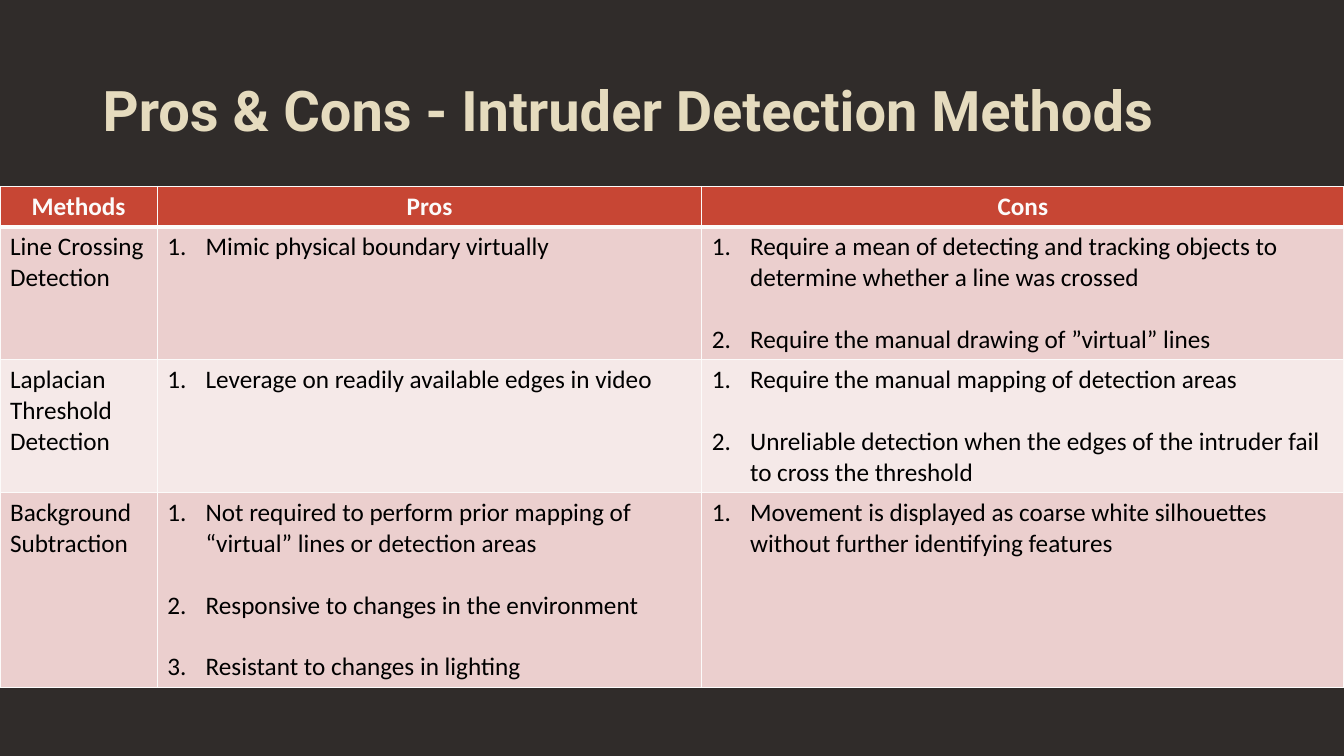
from lxml.etree import SubElement
from pptx import Presentation
from pptx.dml.color import RGBColor
from pptx.enum.text import MSO_ANCHOR, PP_ALIGN
from pptx.oxml.ns import qn
from pptx.util import Inches, Pt

CHARCOAL = RGBColor(0x30, 0x2C, 0x2A)
SAND = RGBColor(0xE5, 0xDB, 0xBE)
OFF_WHITE = RGBColor(0xFC, 0xFB, 0xFA)
BRICK = RGBColor(0xC7, 0x46, 0x34)
ROSE = RGBColor(0xEB, 0xCF, 0xCE)
BLUSH = RGBColor(0xF5, 0xE9, 0xE8)
BLACK = RGBColor(0, 0, 0)

HEADINGS = ["Methods", "Pros", "Cons"]
METHODS = [
    ("Line Crossing Detection",
     ["Mimic physical boundary virtually"],
     ["Require a mean of detecting and tracking objects to determine whether a line was crossed",
      "Require the manual drawing of ”virtual” lines"]),
    ("Laplacian Threshold Detection",
     ["Leverage on readily available edges in video"],
     ["Require the manual mapping of detection areas",
      "Unreliable detection when the edges of the intruder fail to cross the threshold"]),
    ("Background Subtraction",
     ["Not required to perform prior mapping of “virtual” lines or detection areas",
      "Responsive to changes in the environment",
      "Resistant to changes in lighting"],
     ["Movement is displayed as coarse white silhouettes without further identifying features"]),
]
COLUMN_WIDTHS = [1.56, 5.4, 6.37]
ROW_HEIGHTS = [0.4, 1.32, 1.32, 1.93]


def set_font(paragraph, name, size, color, bold=False):
    """Set the font of a whole paragraph."""
    font = paragraph.font
    font.name, font.size, font.bold = name, Pt(size), bold
    font.color.rgb = color


def add_title(slide, text):
    """Add the slide title."""
    title = slide.shapes.add_textbox(Inches(0.92), Inches(0.4), Inches(12.42), Inches(1.45))
    frame = title.text_frame
    frame.word_wrap = True
    frame.vertical_anchor = MSO_ANCHOR.MIDDLE
    heading = frame.paragraphs[0]
    heading.text = text
    heading.line_spacing = 0.9
    set_font(heading, "Roboto", 40, SAND, True)


def style_cell(cell, fill, top=1, bottom=1):
    """Give a cell its borders and fill."""
    properties = cell._tc.get_or_add_tcPr()
    for side, width in (("L", 1), ("R", 1), ("T", top), ("B", bottom)):
        border = SubElement(properties, qn(f"a:ln{side}"), w=str(Pt(width)))
        SubElement(SubElement(border, qn("a:solidFill")), qn("a:srgbClr"), val=str(OFF_WHITE))
    cell.fill.solid()
    cell.fill.fore_color.rgb = fill


def write_points(cell, points):
    """Write numbered points, one line apart."""
    frame = cell.text_frame
    frame.text = "\n".join(points)
    for index, paragraph in enumerate(frame.paragraphs):
        properties = paragraph._p.get_or_add_pPr()
        properties.set("marL", str(Inches(0.38)))
        properties.set("indent", str(Inches(-0.38)))
        SubElement(properties, qn("a:buFont"), typeface="+mj-lt")
        SubElement(properties, qn("a:buAutoNum"), type="arabicPeriod")
        if index:
            paragraph.space_before = Pt(22)
        set_font(paragraph, "Calibri", 18, BLACK)


def add_comparison(slide):
    """Add the table of methods with their pros and cons."""
    table = slide.shapes.add_table(
        len(ROW_HEIGHTS), len(COLUMN_WIDTHS), Inches(0), Inches(1.85),
        Inches(sum(COLUMN_WIDTHS)), Inches(sum(ROW_HEIGHTS))).table
    for column, width in zip(table.columns, COLUMN_WIDTHS):
        column.width = Inches(width)
    for row, height in zip(table.rows, ROW_HEIGHTS):
        row.height = Inches(height)
    for cell, text in zip(table.rows[0].cells, HEADINGS):
        style_cell(cell, BRICK, bottom=3)
        cell.text = text
        heading = cell.text_frame.paragraphs[0]
        heading.alignment = PP_ALIGN.CENTER
        set_font(heading, "Calibri", 18, OFF_WHITE, True)
    for number, (method, pros, cons) in enumerate(METHODS, 1):
        cells = list(table.rows[number].cells)
        for cell in cells:
            style_cell(cell, ROSE if number % 2 else BLUSH, top=3 if number == 1 else 1)
        cells[0].text = method
        set_font(cells[0].text_frame.paragraphs[0], "Calibri", 18, BLACK)
        write_points(cells[1], pros)
        write_points(cells[2], cons)


def main():
    """Build and save the slide."""
    deck = Presentation()
    deck.slide_width, deck.slide_height = Inches(13.33), Inches(7.5)
    slide = deck.slides.add_slide(deck.slide_layouts[6])
    slide.background.fill.solid()
    slide.background.fill.fore_color.rgb = CHARCOAL
    add_title(slide, "Pros & Cons - Intruder Detection Methods")
    add_comparison(slide)
    deck.save("out.pptx")


if __name__ == "__main__":
    main()
